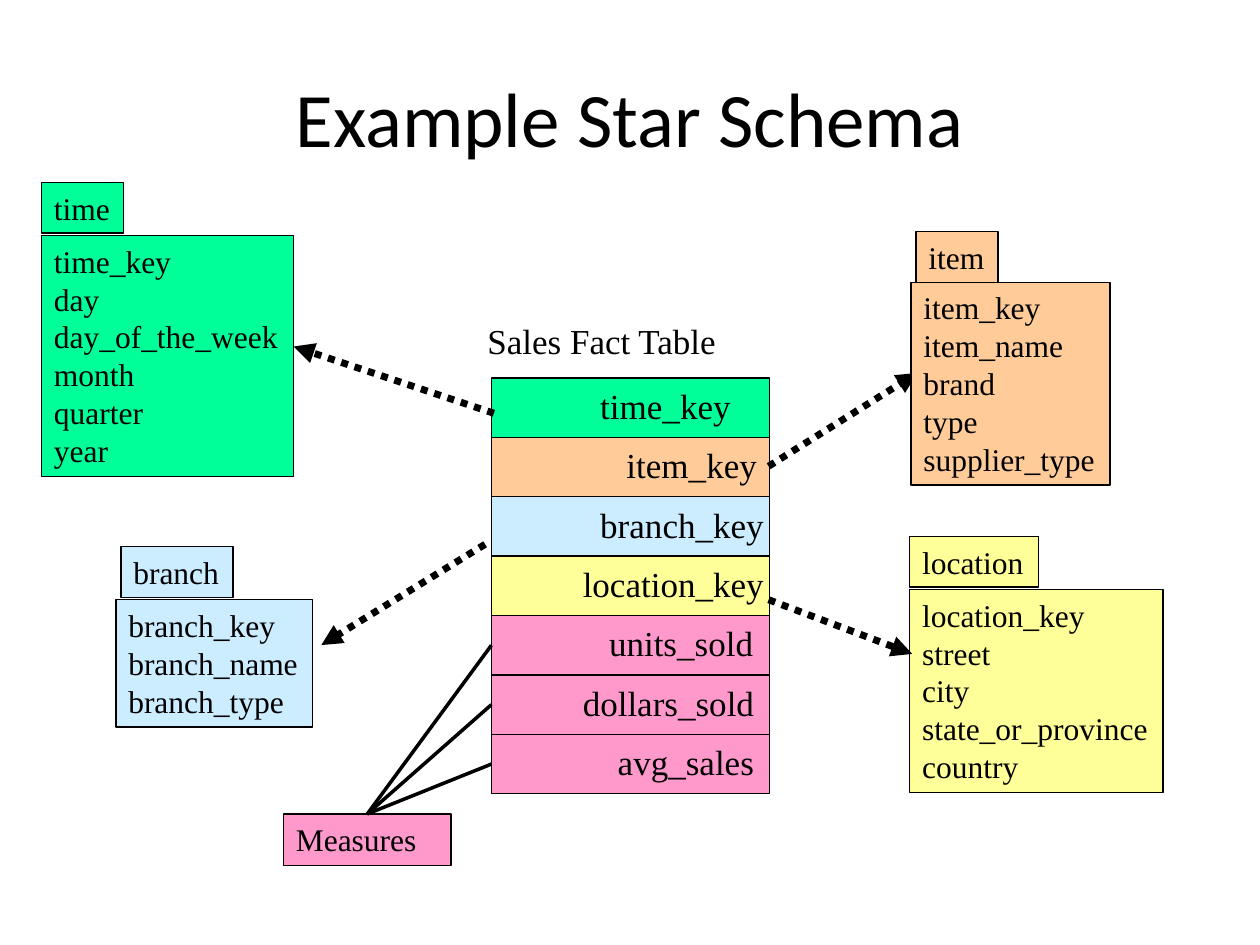
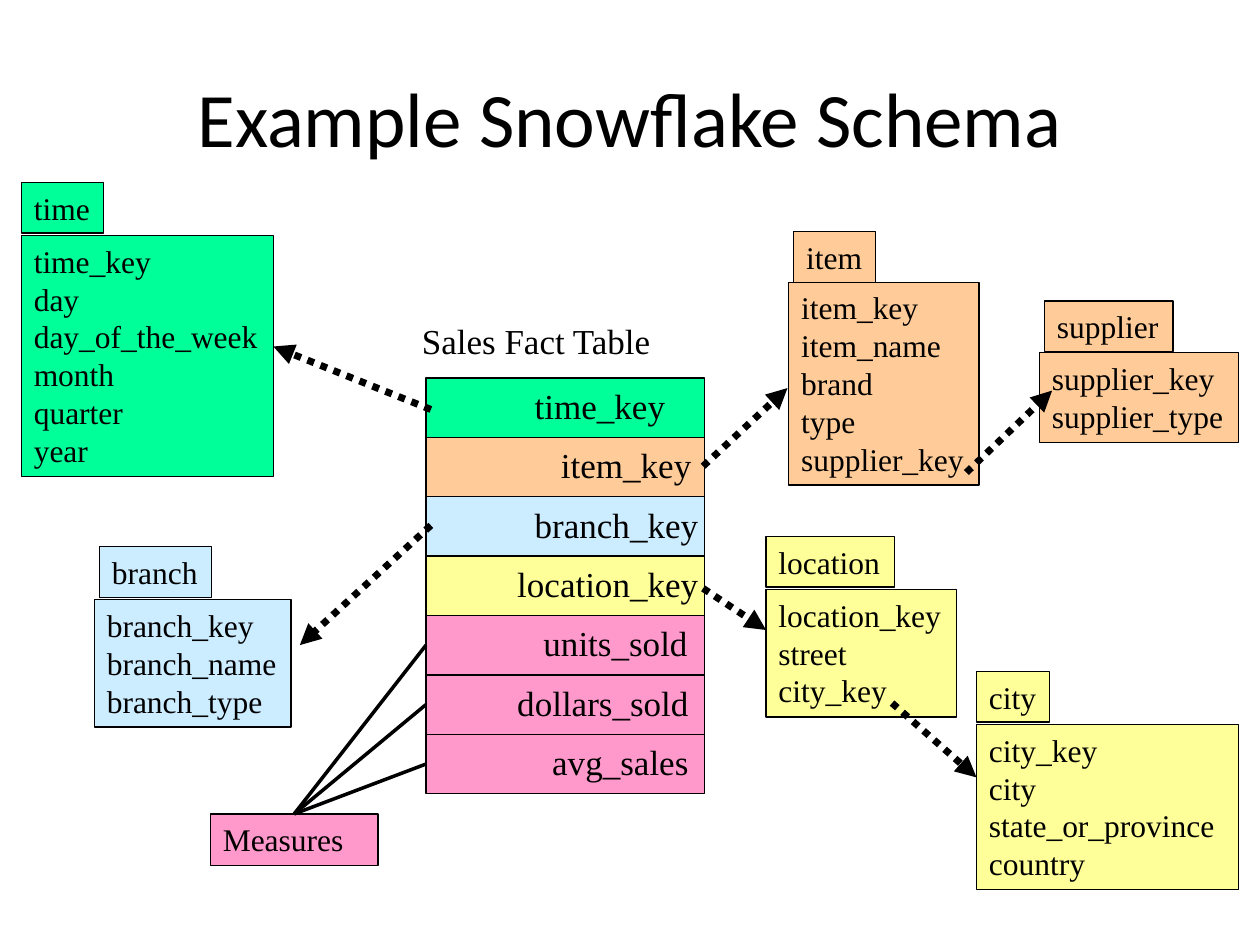
from dataclasses import dataclass

from lxml import etree
from pptx import Presentation
from pptx import util as u
from pptx.dml.color import RGBColor
from pptx.enum import dml, shapes, text
from pptx.oxml import ns

# Shared look
BLACK = RGBColor(0x00, 0x00, 0x00)
GREEN = RGBColor(0x00, 0xFF, 0x99)
ORANGE = RGBColor(0xFF, 0xCC, 0x99)
BLUE = RGBColor(0xCC, 0xEC, 0xFF)
YELLOW = RGBColor(0xFF, 0xFF, 0x99)
PINK = RGBColor(0xFF, 0x99, 0xCC)
TITLE_FONT, BODY_FONT = "Calibri", "Times New Roman"
FIELD_SIZE, FACT_SIZE, TITLE_SIZE = 18, 20, 44

# Page grid: 10 columns by 7.5 rows
SLIDE_WIDTH, SLIDE_HEIGHT = u.Inches(10), u.Inches(7.5)
COLUMNS, ROWS = 10, 7.5
INSET = 0.1
TAG_HEIGHT, LINE_HEIGHT = 0.4, 0.3

# Fact table: name, colour and indent in quarter-em steps
FACT_FIELDS = [
    ("time_key", GREEN, 11),
    ("item_key", ORANGE, 14),
    ("branch_key", BLUE, 11),
    ("location_key", YELLOW, 9),
    ("units_sold", PINK, 12),
    ("dollars_sold", PINK, 9),
    ("avg_sales", PINK, 13),
]
FACT_TOP, FACT_WIDTH, FACT_HEIGHT = 3, 2.21, 3.3
FACT_ROW = FACT_HEIGHT / len(FACT_FIELDS)
INDENT_STEP = FACT_SIZE / 4 / 72


@dataclass
class Dimension:
    name: str
    fields: str
    fill: RGBColor
    left: float
    top: float
    width: float
    tag_width: float
    tag_shift: float = 0
    drop: float = 0.42


def across(columns):
    return round(SLIDE_WIDTH * columns / COLUMNS)


def down(rows):
    return round(SLIDE_HEIGHT * rows / ROWS)


def area(left, top, width, height):
    return across(left), down(top), across(width), down(height)


def add_span(para, words, size, font=BODY_FONT):
    span = para.add_run()
    span.text = words
    span.font.name = font
    span.font.size = u.Pt(size)
    span.font.color.rgb = BLACK


def write_lines(box, lines, size, indent=0):
    frame = box.text_frame
    frame.word_wrap = True
    frame.vertical_anchor = text.MSO_ANCHOR.TOP
    frame.margin_left, frame.margin_right = across(INSET + indent), 0
    frame.margin_top = frame.margin_bottom = down(INSET / 2)
    for number, words in enumerate(lines):
        para = frame.add_paragraph() if number else frame.paragraphs[0]
        para.alignment = text.PP_ALIGN.LEFT
        add_span(para, words, size)


def add_box(page, place, fill, lines, size=FIELD_SIZE, indent=0):
    box = page.shapes.add_shape(shapes.MSO_SHAPE.RECTANGLE, *area(*place))
    box.shadow.inherit = False
    box.fill.solid()
    box.fill.fore_color.rgb = fill
    box.line.color.rgb = BLACK
    box.line.width = u.Pt(0.75)
    write_lines(box, lines, size, indent)


def add_line(page, start, end, width=2):
    line = page.shapes.add_connector(
        shapes.MSO_CONNECTOR.STRAIGHT,
        across(start[0]), down(start[1]), across(end[0]), down(end[1]))
    line.line.color.rgb = BLACK
    line.line.width = u.Pt(width)
    etree.SubElement(line._element.spPr, ns.qn("a:effectLst"))
    return line


def add_arrow(page, start, end):
    arrow = add_line(page, start, end, 4)
    arrow.line.dash_style = dml.MSO_LINE.ROUND_DOT
    etree.SubElement(arrow.line._get_or_add_ln(), ns.qn("a:tailEnd"), type="triangle")


def add_title(page, words):
    title = page.shapes.title
    title.left, title.top, title.width, title.height = area(0.5, 0.3, 9, 1.25)
    title.text_frame.vertical_anchor = text.MSO_ANCHOR.MIDDLE
    para = title.text_frame.paragraphs[0]
    para.alignment = text.PP_ALIGN.CENTER
    add_span(para, words, TITLE_SIZE, TITLE_FONT)


def add_dimension(page, table):
    """Field list with its name tag above."""
    fields = table.fields.split()
    height = len(fields) * LINE_HEIGHT + 0.11
    add_box(page, (table.left, table.top + table.drop, table.width, height),
            table.fill, fields)
    add_box(page, (table.left + table.tag_shift, table.top, table.tag_width, TAG_HEIGHT),
            table.fill, [table.name])


def add_fact_table(page, left):
    caption = page.shapes.add_textbox(*area(left - 0.13, 2.49, 2.03, 0.44))
    write_lines(caption, ["Sales Fact Table"], FACT_SIZE)
    for row, (name, fill, steps) in enumerate(FACT_FIELDS):
        add_box(page, (left, FACT_TOP + row * FACT_ROW, FACT_WIDTH, FACT_ROW),
                fill, [name], FACT_SIZE, steps * INDENT_STEP)


def add_measures(page, left, fact_left):
    """Measures label, tied to every pink row of the fact table."""
    top, width = 6.46, 1.33
    add_box(page, (left, top, width, 0.41), PINK, ["Measures"])
    for row, (_, fill, _) in enumerate(FACT_FIELDS):
        if fill == PINK:
            add_line(page, (left + width / 2, top),
                     (fact_left, FACT_TOP + (row + 0.5) * FACT_ROW))


def add_schema(deck, title, fact_left, measures_left, behind, arrows, front, top_arrows=()):
    page = deck.slides.add_slide(deck.slide_layouts[5])
    add_title(page, title)
    for table in behind:
        add_dimension(page, table)
    add_fact_table(page, fact_left)
    for start, end in arrows:
        add_arrow(page, start, end)
    for table in front:
        add_dimension(page, table)
    add_measures(page, measures_left, fact_left)
    for start, end in top_arrows:
        add_arrow(page, start, end)


def time_table(left):
    return Dimension("time", "time_key day day_of_the_week month quarter year",
                     GREEN, left, 1.45, 2, 0.65)


def branch_table(left):
    return Dimension("branch", "branch_key branch_name branch_type",
                     BLUE, left, 4.34, 1.56, 0.89, 0.04)


def item_table(left, width, last_field):
    return Dimension("item", "item_key item_name brand type " + last_field,
                     ORANGE, left, 1.84, width, 0.65, 0.04, 0.4)


def location_table(left, width, other_fields):
    return Dimension("location", "location_key street " + other_fields,
                     YELLOW, left, 4.26, width, 1.02)


def main():
    deck = Presentation()
    deck.slide_width, deck.slide_height = SLIDE_WIDTH, SLIDE_HEIGHT

    # Star: every dimension is one flat table
    add_schema(
        deck, "Example Star Schema", 3.9, 2.25,
        behind=[time_table(0.33),
                location_table(7.22, 2.01, "city state_or_province country")],
        arrows=[((3.85, 4.32), (2.55, 5.12)), ((3.92, 3.28), (2.33, 2.75)),
                ((6.1, 4.76), (7.24, 5.19)), ((6.1, 3.7), (7.28, 2.96))],
        front=[item_table(7.23, 1.58, "supplier_type"), branch_table(0.92)])

    # Snowflake: supplier and city split off
    add_schema(
        deck, "Example Snowflake Schema", 3.38, 1.67,
        behind=[time_table(0.17), location_table(6.08, 1.51, "city_key")],
        arrows=[((3.42, 4.17), (2.38, 5.12)), ((3.42, 3.25), (2.17, 2.75)),
                ((5.58, 4.67), (6.08, 5)), ((5.58, 3.7), (6.25, 3.08))],
        front=[item_table(6.26, 1.51, "supplier_key"), branch_table(0.75),
               Dimension("supplier", "supplier_key supplier_type",
                         ORANGE, 8.25, 2.39, 1.58, 1.02, 0.04, 0.41),
               Dimension("city", "city_key city state_or_province country",
                         YELLOW, 7.75, 5.33, 2.08, 0.58)],
        top_arrows=[((7.67, 3.75), (8.35, 3.1)), ((7.08, 5.58), (7.75, 6.17))])

    deck.save("out.pptx")


if __name__ == "__main__":
    main()
